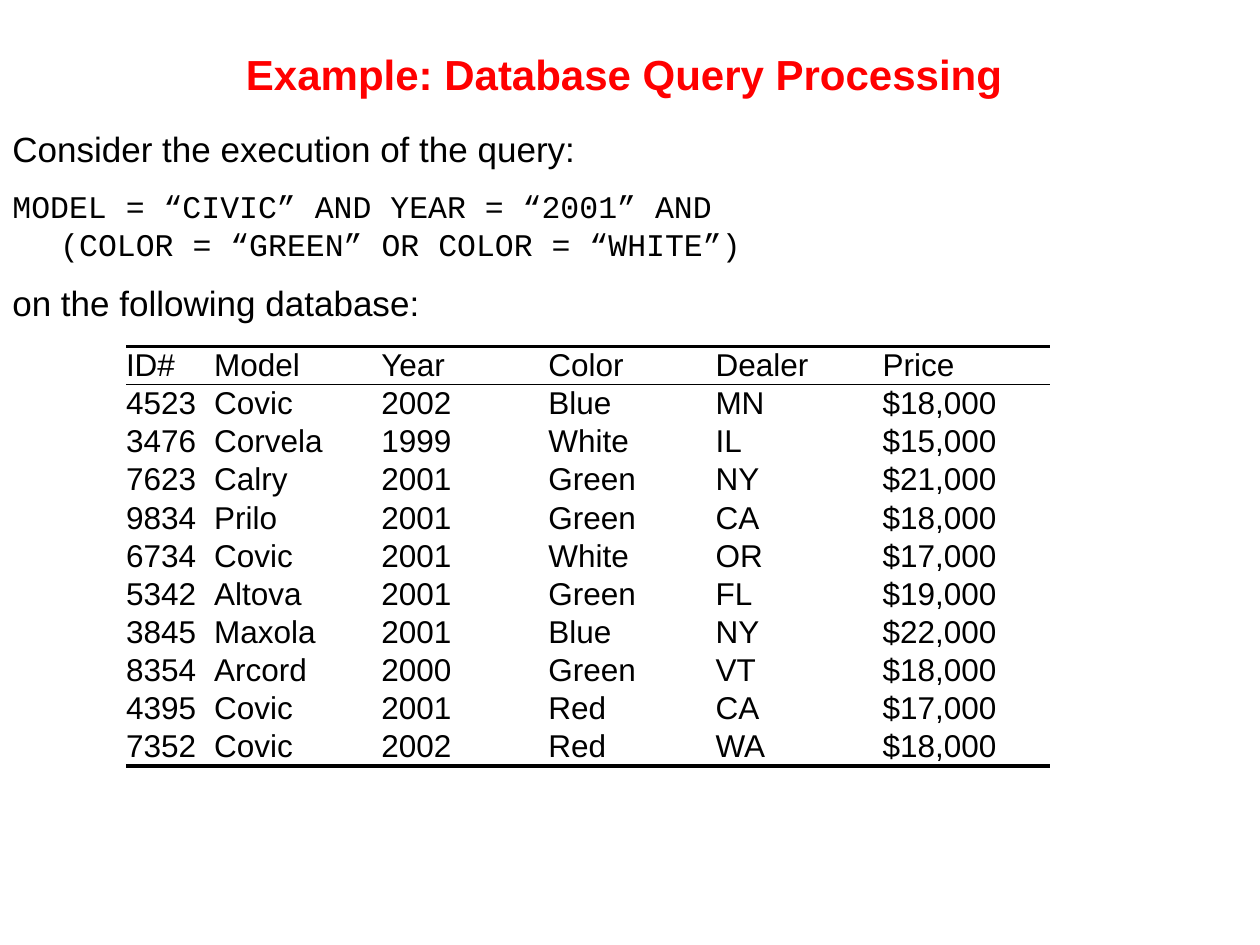
from lxml import etree
from pptx import Presentation
from pptx.dml.color import RGBColor
from pptx.enum.text import MSO_ANCHOR, PP_ALIGN
from pptx.oxml.ns import qn
from pptx.util import Inches, Pt

MID, TOP = MSO_ANCHOR.MIDDLE, MSO_ANCHOR.TOP
CENTER = PP_ALIGN.CENTER
WIDE, HIGH = Inches(10), Inches(7.5)
COLS, ROWS = 120, 90
HUES = {"title": "FF0000", "text": "000000"}
SANS, MONO = "Arial", "Courier New"
HANG = 0.38

TITLE = "Example: Database Query Processing "
LINES = [
    (1.4, [("Consider the execution of the query:", 20, SANS)]),
    (1, [("MODEL = “CIVIC” AND YEAR = “2001” AND", 18, MONO)]),
    (0.4, [("\t(COLOR = “GREEN” OR COLOR = “WHITE”)", 18, MONO), (" ", 20, SANS)]),
    (1.1, [("on the following database:", 20, SANS)]),
]
CARS = [
    ("ID#", "Model", "Year", "Color", "Dealer", "Price"),
    ("4523", "Covic", "2002", "Blue", "MN", "$18,000"),
    ("3476", "Corvela", "1999", "White", "IL", "$15,000"),
    ("7623", "Calry", "2001", "Green", "NY", "$21,000"),
    ("9834", "Prilo", "2001", "Green", "CA", "$18,000"),
    ("6734", "Covic", "2001", "White", "OR", "$17,000"),
    ("5342", "Altova", "2001", "Green", "FL", "$19,000"),
    ("3845", "Maxola", "2001", "Blue", "NY", "$22,000"),
    ("8354", "Arcord", "2000", "Green", "VT", "$18,000"),
    ("4395", "Covic", "2001", "Red", "CA", "$17,000"),
    ("7352", "Covic", "2002", "Red", "WA", "$18,000"),
]


def span(box):
    """Turn a box in grid columns and rows into slide lengths."""
    left, top, wide, high = box
    return [int(n) for n in (left * WIDE / COLS, top * HIGH / ROWS,
                             wide * WIDE / COLS, high * HIGH / ROWS)]


def apply(item, form):
    """Set each attribute named in the format on the item."""
    for name, value in form.items():
        setattr(item, name, value)


def write(para, text, size, face=SANS, hue="text", bold=False):
    """Add one formatted run to a paragraph."""
    run = para.add_run()
    run.text = text
    apply(run.font, {"size": Pt(size), "name": face, "bold": bold})
    run.font.color.rgb = RGBColor.from_string(HUES[hue])


def add_title(slide, box):
    """Place and format the title placeholder."""
    shape = slide.shapes.title
    apply(shape, dict(zip(("left", "top", "width", "height"), span(box))))
    apply(shape.text_frame, {"vertical_anchor": MID, "word_wrap": True})
    para = shape.text_frame.paragraphs[0]
    para.alignment = CENTER
    write(para, TITLE, 24, hue="title", bold=True)


def add_query(slide, box):
    """Write the query and the sentences around it."""
    frame = slide.shapes.add_textbox(*span(box)).text_frame
    apply(frame, {"word_wrap": True, "vertical_anchor": TOP})
    for i, (space, runs) in enumerate(LINES):
        para = frame.add_paragraph() if i else frame.paragraphs[0]
        apply(para, {"line_spacing": float(space), "space_after": Pt(5),
                     "space_before": Pt(5 if i else 0)})
        props = para._p.get_or_add_pPr()
        props.set("marL", str(Inches(HANG)))
        props.set("indent", str(-Inches(HANG)))
        for run in runs:
            write(para, *run)


def rule(cell, side, width):
    """Draw one cell border, or clear it at zero width."""
    line = etree.SubElement(cell._tc.get_or_add_tcPr(), qn(f"a:ln{side}"),
                            w=str(Pt(width)))
    if width:
        fill = etree.SubElement(line, qn("a:solidFill"))
        etree.SubElement(fill, qn("a:srgbClr"), val=HUES["text"])
    else:
        etree.SubElement(line, qn("a:noFill"))


def add_cars(slide, box):
    """Build the car table with rules at the header and the foot."""
    count, width = len(CARS), len(CARS[0])
    table = slide.shapes.add_table(count, width, *span(box)).table
    apply(table, {"first_row": False, "horz_banding": False})
    first = 8.4
    rest = (box[2] - first) / (width - 1)
    for i, column in enumerate(table.columns):
        column.width = int((rest if i else first) * WIDE / COLS)
    edges = [2.25, 1] + [0] * (count - 2) + [2.25]
    for r, car in enumerate(CARS):
        table.rows[r].height = int(box[3] * HIGH / ROWS / count)
        for c, text in enumerate(car):
            cell = table.cell(r, c)
            apply(cell, {"margin_left": 0, "margin_right": 0, "margin_top": 0,
                         "margin_bottom": 0, "vertical_anchor": MID})
            for side, line in zip("LRTB", (0, 0, edges[r], edges[r + 1])):
                rule(cell, side, line)
            cell.fill.background()
            write(cell.text_frame.paragraphs[0], text, 18)


def main():
    """Build and save the slide."""
    deck = Presentation()
    apply(deck, {"slide_width": WIDE, "slide_height": HIGH})
    slide = deck.slides.add_slide(deck.slide_layouts[5])
    add_title(slide, (6, 1, 108, 12))
    add_query(slide, (0, 10, 108, 23))
    add_cars(slide, (12, 33, 88, 40))
    deck.save("out.pptx")


if __name__ == "__main__":
    main()
